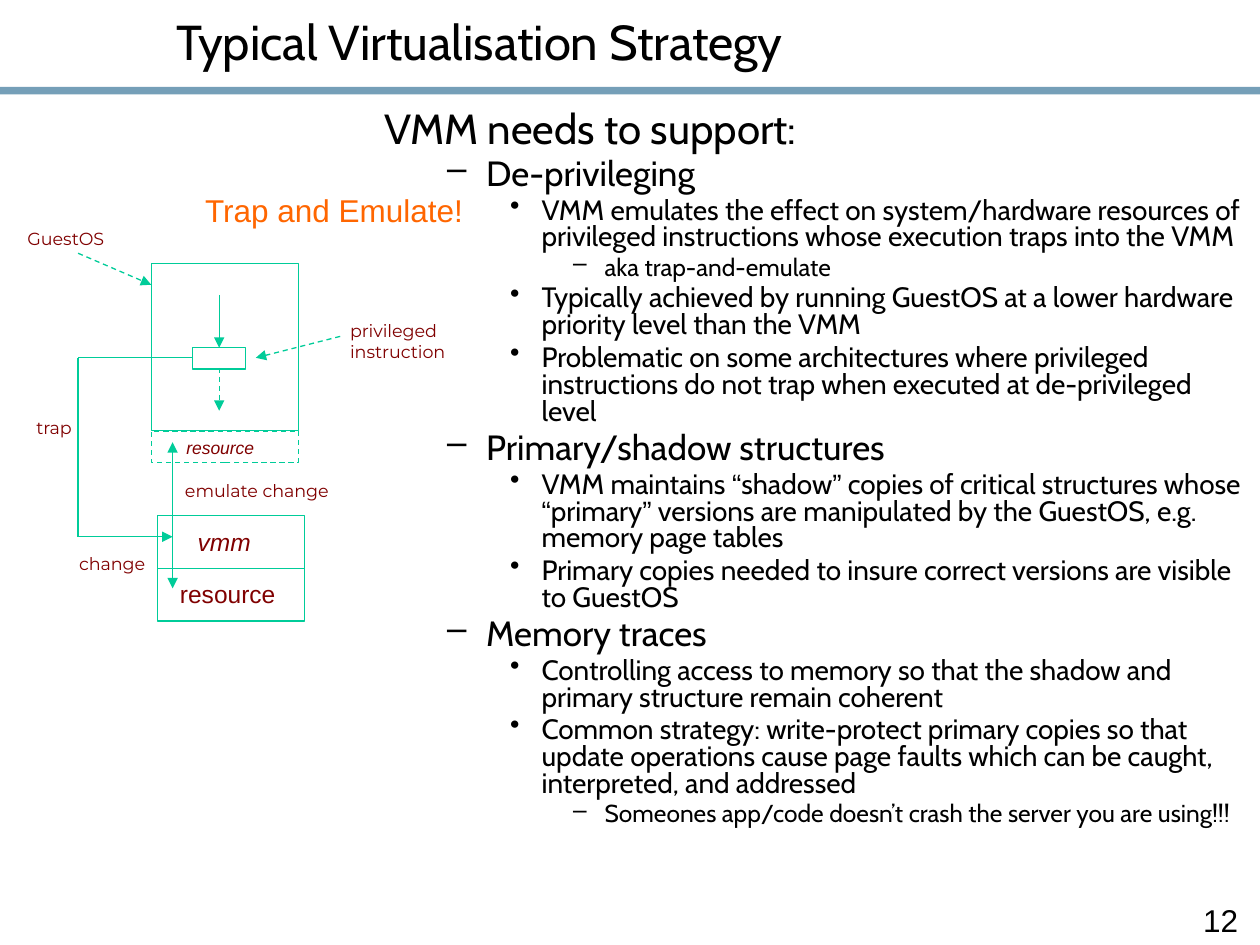
from dataclasses import dataclass

from lxml.etree import SubElement
from pptx import Presentation
from pptx.dml.color import RGBColor
from pptx.enum.dml import MSO_LINE
from pptx.enum.shapes import MSO_CONNECTOR, MSO_SHAPE
from pptx.enum.text import MSO_ANCHOR, MSO_AUTO_SIZE, PP_ALIGN
from pptx.oxml.ns import qn
from pptx.util import Inches, Pt


@dataclass(frozen=True)
class Theme:
    """Colours, fonts and type sizes of the slide."""
    black: str = "000000"
    bar: str = "759FB8"
    green: str = "00CC99"
    red: str = "800000"
    orange: str = "FF6600"
    head: str = "Cabin"
    plain: str = "Arial"
    label: str = "Montserrat"
    title: int = 28
    levels: tuple = (24, 20, 16, 14)
    large: int = 18
    medium: int = 14
    small: int = 10
    line: float = 0.75


theme = Theme()
deck = Presentation()
deck.slide_width, deck.slide_height = Inches(10), Inches(7.5)
slide = deck.slides.add_slide(deck.slide_layouts[6])
shapes = slide.shapes

# The grid has 1000 columns and 750 rows.
COL = deck.slide_width // 1000
ROW = deck.slide_height // 750


def place(x, y, w, h):
    """Turn grid columns and rows into slide lengths."""
    return x * COL, y * ROW, w * COL, h * ROW


def write(frame, text, size=theme.small, font=theme.label, color=theme.red,
          italic=False, align=None):
    """Add a paragraph to the frame; curly quotes take the plain font."""
    para = frame.paragraphs[0] if not frame.text else frame.add_paragraph()
    para.alignment = align
    parts = text.replace("\u201c", "|\u201c|").replace("\u201d", "|\u201d|")
    for part in parts.split("|"):
        run = para.add_run()
        run.text = part
        run.font.size = Pt(size)
        run.font.name = theme.plain if part in "\u201c\u201d" else font
        run.font.italic = italic
        run.font.color.rgb = RGBColor.from_string(color)
    return para


# Title and bar
bar = shapes.add_shape(MSO_SHAPE.RECTANGLE, *place(0, 69, 1000, 6))
bar.shadow.inherit = False
bar.fill.solid()
bar.fill.fore_color.rgb = RGBColor.from_string(theme.bar)
bar.line.fill.background()

title = shapes.add_textbox(*place(130, 5, 820, 55)).text_frame
title.word_wrap = True
title.vertical_anchor = MSO_ANCHOR.MIDDLE
write(title, "Typical Virtualisation Strategy", size=theme.title,
      font=theme.head, color=theme.black)

# Outline: level and wording
points = [
    (0, "VMM needs to support:"),
    (1, "De-privileging"),
    (2, "VMM emulates the effect on system/hardware resources of privileged "
        "instructions whose execution traps into the VMM"),
    (3, "aka trap-and-emulate"),
    (2, "Typically achieved by running GuestOS at a lower hardware priority "
        "level than the VMM"),
    (2, "Problematic on some architectures where privileged instructions do "
        "not trap when executed at de-privileged level"),
    (1, "Primary/shadow structures"),
    (2, "VMM maintains \u201cshadow\u201d copies of critical structures whose "
        "\u201cprimary\u201d versions are manipulated by the GuestOS, e.g. "
        "memory page tables"),
    (2, "Primary copies needed to insure correct versions are visible to "
        "GuestOS"),
    (1, "Memory traces"),
    (2, "Controlling access to memory so that the shadow and primary "
        "structure remain coherent"),
    (2, "Common strategy: write-protect primary copies so that update "
        "operations cause page faults which can be caught, interpreted, and "
        "addressed"),
    (3, "Someones app/code doesn\u2019t crash the server you are using!!!"),
]
# Left edge, hanging indent and bullet of each level
indents = [(0, 0, ""), (81, 31, "\u2013"), (125, 25, "\u2022"),
           (175, 25, "\u2013")]
body = shapes.add_textbox(*place(295, 84, 705, 654)).text_frame
body.word_wrap = True
for level, text in points:
    para = write(body, text, size=theme.levels[level], font=theme.head,
                 color=theme.black)
    para.level = level
    para.line_spacing = 0.8
    left, hang, mark = indents[level]
    props = para._p.get_or_add_pPr()
    props.set("marL", str(left * COL))
    props.set("indent", str(-hang * COL))
    space = SubElement(props, qn("a:spcBef"))
    SubElement(space, qn("a:spcPct")).set("val", "20000")
    if mark:
        SubElement(props, qn("a:buChar")).set("char", mark)

# Diagram boxes: guest, its resource, instruction, vmm, resource
boxes = [
    (120, 209, 117, 133, False),
    (120, 342, 117, 25, True),
    (153, 276, 42, 17, False),
    (125, 409, 117, 42, False),
    (125, 451, 117, 42, False),
]
for *area, dash in boxes:
    box = shapes.add_shape(MSO_SHAPE.RECTANGLE, *place(*area))
    box.shadow.inherit = False
    box.fill.background()
    box.line.color.rgb = RGBColor.from_string(theme.green)
    box.line.width = Pt(theme.line)
    if dash:
        box.line.dash_style = MSO_LINE.DASH

# Diagram lines: start, end, dashed, arrowhead
links = [
    (270, 267, 203, 284, True, True),
    (62, 201, 120, 226, True, True),
    (174, 234, 174, 276, False, True),
    (174, 292, 174, 326, True, True),
    (153, 284, 62, 284, False, False),
    (62, 284, 62, 426, False, False),
    (62, 426, 137, 426, False, True),
    (137, 426, 137, 467, False, True),
    (137, 426, 137, 351, False, True),
]
for *ends, dash, arrow in links:
    link = shapes.add_connector(MSO_CONNECTOR.STRAIGHT, *place(*ends))
    link.line.color.rgb = RGBColor.from_string(theme.green)
    link.line.width = Pt(theme.line)
    if dash:
        link.line.dash_style = MSO_LINE.DASH
    props = link._element.spPr
    if arrow:
        tail = SubElement(props.find(qn("a:ln")), qn("a:tailEnd"))
        tail.set("type", "triangle")
    SubElement(props, qn("a:effectLst"))

# Labels: area, lines of text, format
arial = {"font": theme.plain}
labels = [
    ((268, 249, 104, 44), ["privileged", "instruction"], {}),
    ((19, 326, 52, 27), ["trap"], {}),
    ((12, 176, 87, 27), ["GuestOS"], {}),
    ((137, 376, 143, 27), ["emulate change"], {}),
    ((53, 434, 76, 27), ["change"], {}),
    ((138, 342, 78, 27), ["resource"], arial | {"italic": True}),
    ((133, 455, 97, 34), ["resource"], arial | {"size": theme.medium}),
    ((131, 413, 94, 34), ["vmm"], arial | {
        "size": theme.medium, "italic": True, "align": PP_ALIGN.CENTER}),
    ((153, 147, 227, 40), ["Trap and Emulate!"], arial | {
        "size": theme.large, "color": theme.orange}),
    ((945, 710, 55, 40), ["12"], arial | {
        "size": theme.large, "color": theme.black}),
]
for area, lines, look in labels:
    frame = shapes.add_textbox(*place(*area)).text_frame
    frame.word_wrap = False
    frame.auto_size = MSO_AUTO_SIZE.SHAPE_TO_FIT_TEXT
    for text in lines:
        write(frame, text, **look)

deck.save("out.pptx")
